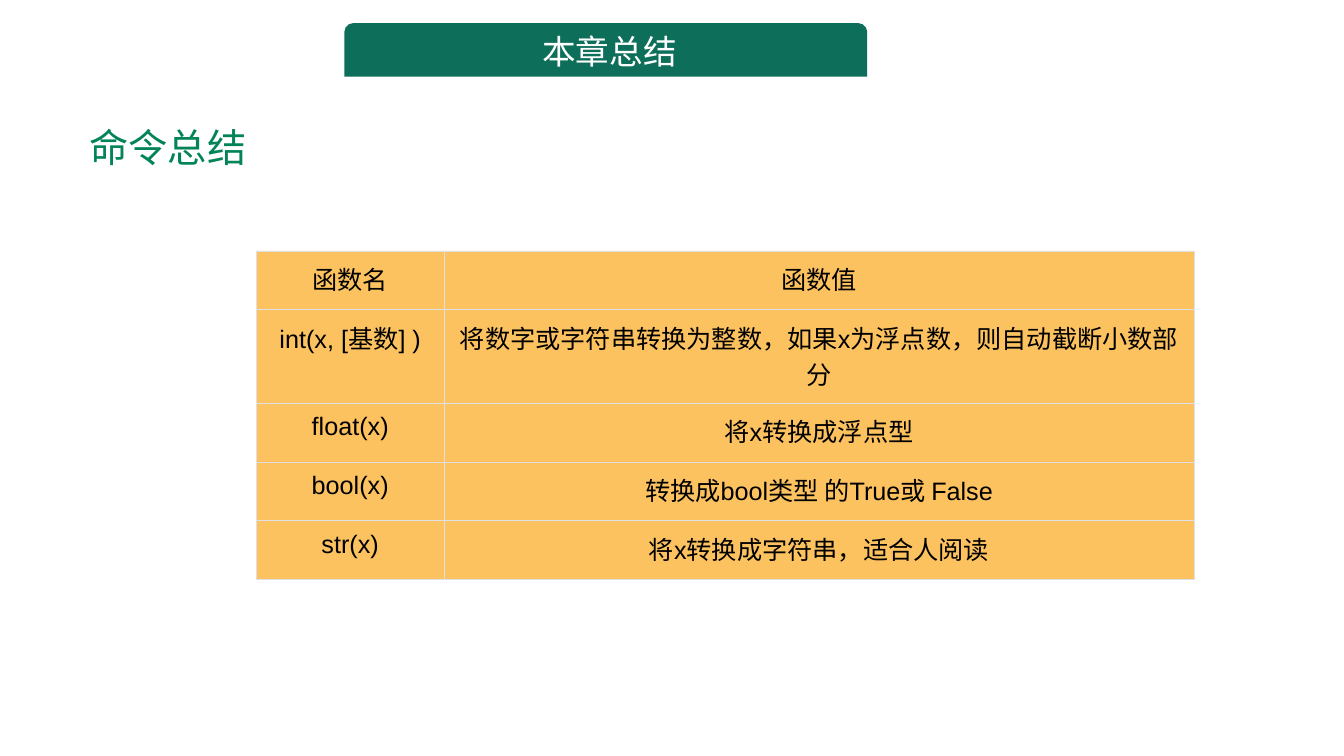
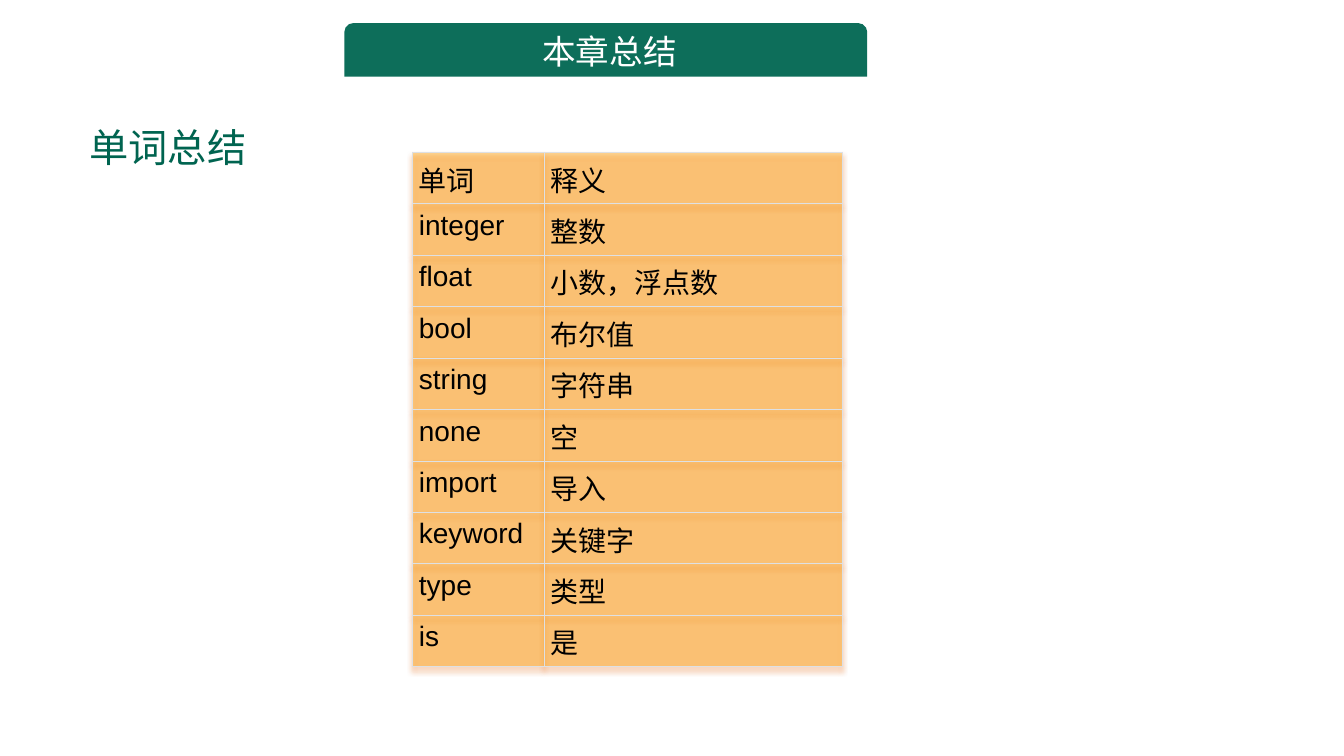
from dataclasses import dataclass

from lxml.etree import SubElement
from pptx import Presentation
from pptx.dml.color import RGBColor
from pptx.enum.shapes import MSO_SHAPE
from pptx.enum.text import MSO_ANCHOR, PP_ALIGN
from pptx.oxml import parse_xml
from pptx.oxml.ns import nsdecls, qn
from pptx.util import Emu, Pt

PX = 9525
COLORS = {
    "band": "0D6E5A",
    "white": "FFFFFF",
    "text": "000000",
    "green": "028458",
    "dark_green": "006450",
    "cell": "FDA007",
    "border": "DEE0E3",
    "shadow": "ED7D31",
}
LATIN, CJK = "Arial", "Noto Sans CJK SC"


@dataclass
class Grid:
    left: int
    top: int
    cols: list[int]
    row_heights: list[int]
    rows: list[tuple[str, str]]
    size: int
    align: PP_ALIGN
    margin_x: int
    margin_y: int
    opacity: int
    shadow: bool = False


@dataclass
class Page:
    heading: str
    color: str
    font: str
    grid: Grid


FUNCTIONS = Grid(
    244, 239, [179, 714], [56, 89, 56, 56, 56],
    [
        ("函数名", "函数值"),
        ("int(x, [基数] )", "将数字或字符串转换为整数，如果x为浮点数，则自动截断小数部分"),
        ("float(x)", "将x转换成浮点型"),
        ("bool(x)", "转换成bool类型 的True或 False"),
        ("str(x)", "将x转换成字符串，适合人阅读"),
    ],
    size=18, align=PP_ALIGN.CENTER, margin_x=8, margin_y=9, opacity=64,
)
WORDS = Grid(
    393, 145, [125, 284], [49] * 10,
    [
        ("单词", "释义"),
        ("integer", "整数"),
        ("float", "小数，浮点数"),
        ("bool", "布尔值"),
        ("string", "字符串"),
        ("none", "空"),
        ("import", "导入"),
        ("keyword", "关键字"),
        ("type", "类型"),
        ("is", "是"),
    ],
    size=20, align=PP_ALIGN.LEFT, margin_x=6, margin_y=6, opacity=42, shadow=True,
)
PAGES = [
    Page("命令总结", "green", CJK, FUNCTIONS),
    Page("单词总结", "dark_green", LATIN, WORDS),
]


def px(n: int) -> Emu:
    return Emu(n * PX)


def rgb(name: str) -> RGBColor:
    return RGBColor.from_string(COLORS[name])


def add_text(tf, text: str, size: int, color: str, font: str = LATIN,
             align: PP_ALIGN = PP_ALIGN.LEFT) -> None:
    p = tf.paragraphs[0]
    p.alignment = align
    r = p.add_run()
    r.text = text
    r.font.size = Pt(size)
    r.font.name = font
    r.font.color.rgb = rgb(color)
    SubElement(r.font._element, qn("a:ea"), typeface=CJK)


def add_band(s) -> None:
    sp = s.shapes.add_shape(MSO_SHAPE.ROUND_2_SAME_RECTANGLE,
                            px(328), px(22), px(498), px(51))
    sp.shadow.inherit = False
    sp.fill.solid()
    sp.fill.fore_color.rgb = rgb("band")
    sp.line.fill.background()
    sp.text_frame.vertical_anchor = MSO_ANCHOR.MIDDLE
    add_text(sp.text_frame, " 本章总结", 24, "white", align=PP_ALIGN.CENTER)


def add_heading(s, page: Page) -> None:
    tf = s.shapes.add_textbox(px(76), px(112), px(764), px(55)).text_frame
    tf.word_wrap = True
    tf.vertical_anchor = MSO_ANCHOR.MIDDLE
    add_text(tf, page.heading, 28, page.color, page.font)


def style_cell(cell, opacity: int) -> None:
    tcPr = cell._tc.get_or_add_tcPr()
    for side in ("lnL", "lnR", "lnT", "lnB"):
        tcPr.append(parse_xml(
            f'<a:{side} {nsdecls("a")} w="{Pt(0.5)}"><a:solidFill>'
            f'<a:srgbClr val="{COLORS["border"]}"/></a:solidFill></a:{side}>'))
    cell.fill.solid()
    cell.fill.fore_color.rgb = rgb("cell")
    color = tcPr.find(qn("a:solidFill"))[0]
    SubElement(color, qn("a:alpha"), val=str(opacity * 1000))


def add_grid(s, grid: Grid) -> None:
    table = s.shapes.add_table(
        len(grid.rows), len(grid.cols), px(grid.left), px(grid.top),
        px(sum(grid.cols)), px(sum(grid.row_heights))).table
    table.first_row = table.horz_banding = False
    for col, width in zip(table.columns, grid.cols):
        col.width = px(width)
    for row, height, texts in zip(table.rows, grid.row_heights, grid.rows):
        row.height = px(height)
        for cell, text in zip(row.cells, texts):
            cell.margin_left = cell.margin_right = px(grid.margin_x)
            cell.margin_top = cell.margin_bottom = px(grid.margin_y)
            style_cell(cell, grid.opacity)
            add_text(cell.text_frame, text, grid.size, "text", align=grid.align)
    if grid.shadow:
        table._tbl.tblPr.insert(0, parse_xml(
            f'<a:effectLst {nsdecls("a")}>'
            f'<a:outerShdw blurRad="{px(5)}" dist="{px(4)}" dir="5400000">'
            f'<a:srgbClr val="{COLORS["shadow"]}"><a:alpha val="70000"/></a:srgbClr>'
            '</a:outerShdw></a:effectLst>'))


def main() -> None:
    prs = Presentation()
    prs.slide_width, prs.slide_height = px(1280), px(720)
    for page in PAGES:
        s = prs.slides.add_slide(prs.slide_layouts[6])
        add_band(s)
        add_grid(s, page.grid)
        add_heading(s, page)
    prs.save("out.pptx")


if __name__ == "__main__":
    main()
